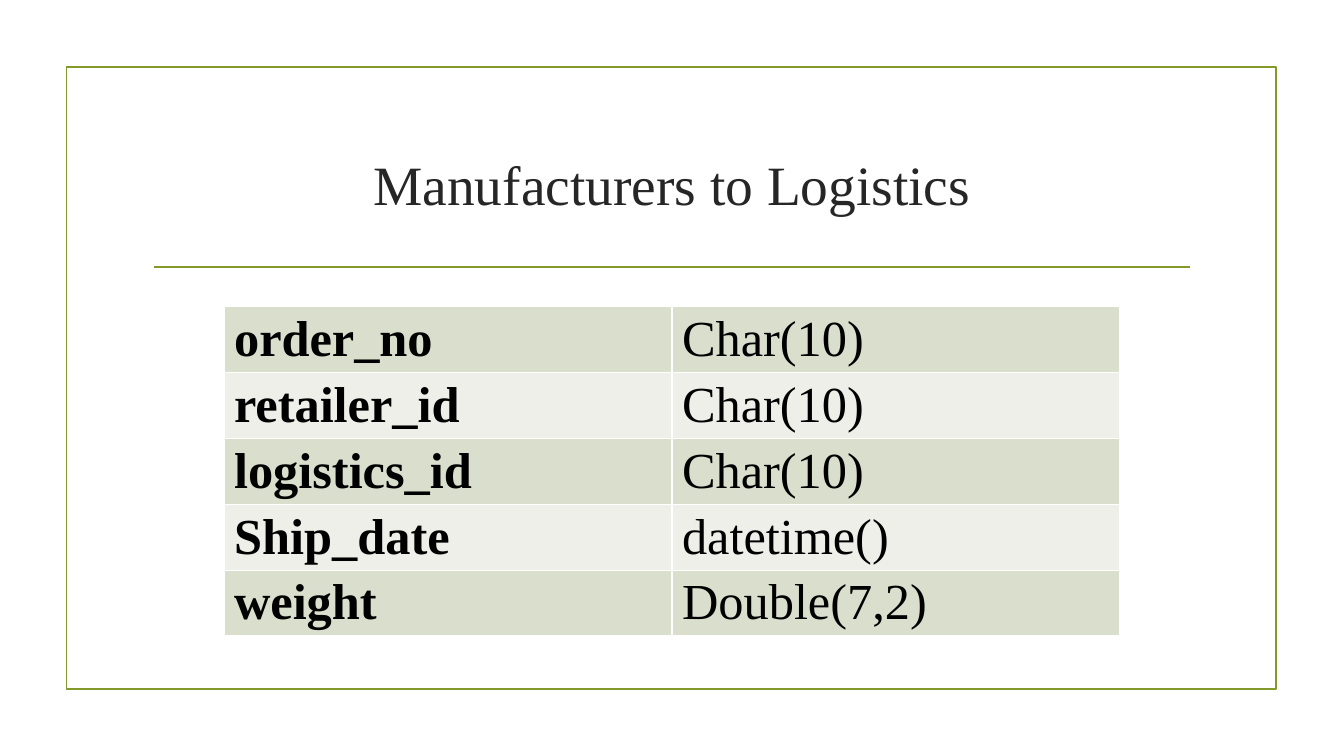
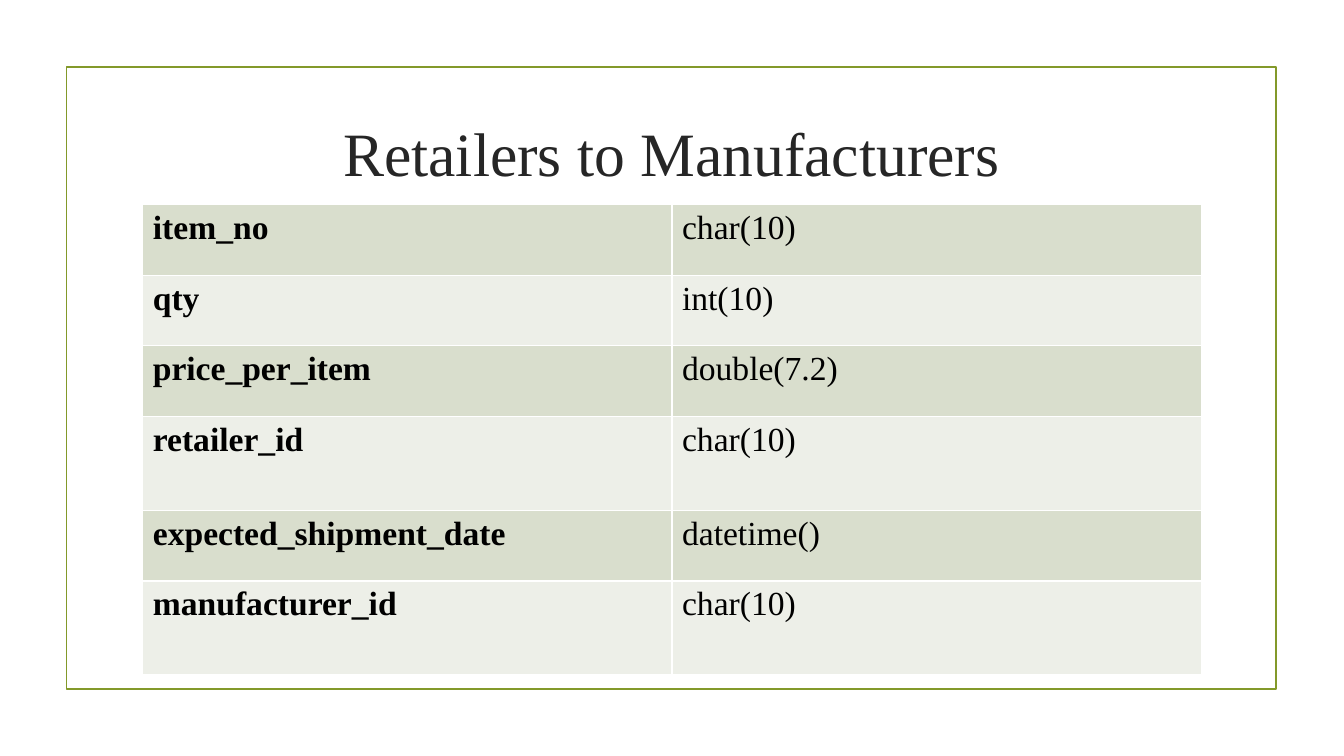
from lxml import etree
from pptx import Presentation
from pptx.dml.color import RGBColor
from pptx.enum.shapes import MSO_CONNECTOR, MSO_SHAPE
from pptx.enum.text import MSO_ANCHOR, MSO_AUTO_SIZE, PP_ALIGN
from pptx.oxml import parse_xml
from pptx.oxml.ns import nsdecls, qn
from pptx.util import Pt

RECT = MSO_SHAPE.RECTANGLE
STRAIGHT = MSO_CONNECTOR.STRAIGHT
MIDDLE = MSO_ANCHOR.MIDDLE
CENTER = PP_ALIGN.CENTER
NO_FIT = MSO_AUTO_SIZE.NONE

# Shared look
FONT = "Times New Roman"
GREEN = RGBColor(0x83, 0x99, 0x2A)
DARK = RGBColor(0x26, 0x26, 0x26)
BLACK = RGBColor(0, 0, 0)
BANDS = (RGBColor(0xD9, 0xDE, 0xCD), RGBColor(0xED, 0xEF, 0xE8))
WIDTH, HEIGHT = 960, 540
TITLE_W, TITLE_H = 756, 103

# Field names and types
SHIPMENT = [
    ("order_no", "Char(10)"),
    ("retailer_id", "Char(10)"),
    ("logistics_id", "Char(10)"),
    ("Ship_date", "datetime()"),
    ("weight", "Double(7,2)"),
]
ORDER = [
    ("item_no", "char(10)"),
    ("qty", "int(10)"),
    ("price_per_item", "double(7.2)"),
    ("retailer_id", "char(10)"),
    ("expected_shipment_date", "datetime()"),
    ("manufacturer_id", "char(10)"),
]


def style(para, size, color, bold=False):
    for run in para.runs:
        font = run.font
        font.name, font.size, font.bold = FONT, Pt(size), bold
        font.color.rgb = color


def add_frame(slide):
    frame = slide.shapes.add_shape(RECT, Pt(47.5), Pt(48), Pt(864), Pt(444))
    frame.shadow.inherit = False
    frame.fill.background()
    frame.line.color.rgb = GREEN
    frame.line.width = Pt(1.25)


def add_rule(slide):
    rule = slide.shapes.add_connector(STRAIGHT, Pt(110), Pt(190.5),
                                      Pt(850), Pt(190.5))
    rule.line.color.rgb = GREEN
    rule.line.width = Pt(1.25)
    etree.SubElement(rule.element.spPr, qn("a:effectLst"))


def set_title(slide, text, top, size, inset=3.6):
    title = slide.shapes.title
    title.left, title.top = Pt((WIDTH - TITLE_W) / 2), Pt(top)
    title.width, title.height = Pt(TITLE_W), Pt(TITLE_H)
    frame = title.text_frame
    frame.text = text
    frame.auto_size = NO_FIT
    frame.vertical_anchor = MIDDLE
    frame.margin_top = Pt(inset)
    para = frame.paragraphs[0]
    para.alignment = CENTER
    style(para, size, DARK)


def add_edges(cell):
    props = cell._tc.get_or_add_tcPr()
    for i, side in enumerate("LRTB"):
        props.insert(i, parse_xml(
            f'<a:ln{side} {nsdecls("a")} w="{Pt(1)}"><a:solidFill>'
            f'<a:srgbClr val="FFFFFF"/></a:solidFill></a:ln{side}>'))


def add_fields(slide, fields, top, width, heights, size):
    """Draw a centred two-column table with banded rows."""
    table = slide.shapes.add_table(
        len(fields), 2, Pt((WIDTH - width) / 2), Pt(top),
        Pt(width), Pt(sum(heights))).table
    table.first_row = table.horz_banding = False
    for col in table.columns:
        col.width = Pt(width / 2)
    for r, (field, height) in enumerate(zip(fields, heights)):
        table.rows[r].height = Pt(height)
        for c, text in enumerate(field):
            cell = table.cell(r, c)
            cell.text = text
            style(cell.text_frame.paragraphs[0], size, BLACK, bold=c == 0)
            cell.fill.solid()
            cell.fill.fore_color.rgb = BANDS[r % 2]
            add_edges(cell)


def add_slide(deck):
    slide = deck.slides.add_slide(deck.slide_layouts[5])
    add_frame(slide)
    return slide


def main():
    deck = Presentation()
    deck.slide_width, deck.slide_height = Pt(WIDTH), Pt(HEIGHT)

    # Manufacturers to logistics
    slide = add_slide(deck)
    add_rule(slide)
    set_title(slide, "Manufacturers to Logistics", 55.5, 39.6, inset=51.6)
    add_fields(slide, SHIPMENT, 219, 640, [47] * 5, 36)

    # Retailers to manufacturers
    slide = add_slide(deck)
    set_title(slide, "Retailers to Manufacturers", 57, 44)
    low, high = 50.5, 67
    add_fields(slide, ORDER, 146, TITLE_W,
               [low, low, low, high, low, high], 24)

    deck.save("out.pptx")


if __name__ == "__main__":
    main()
